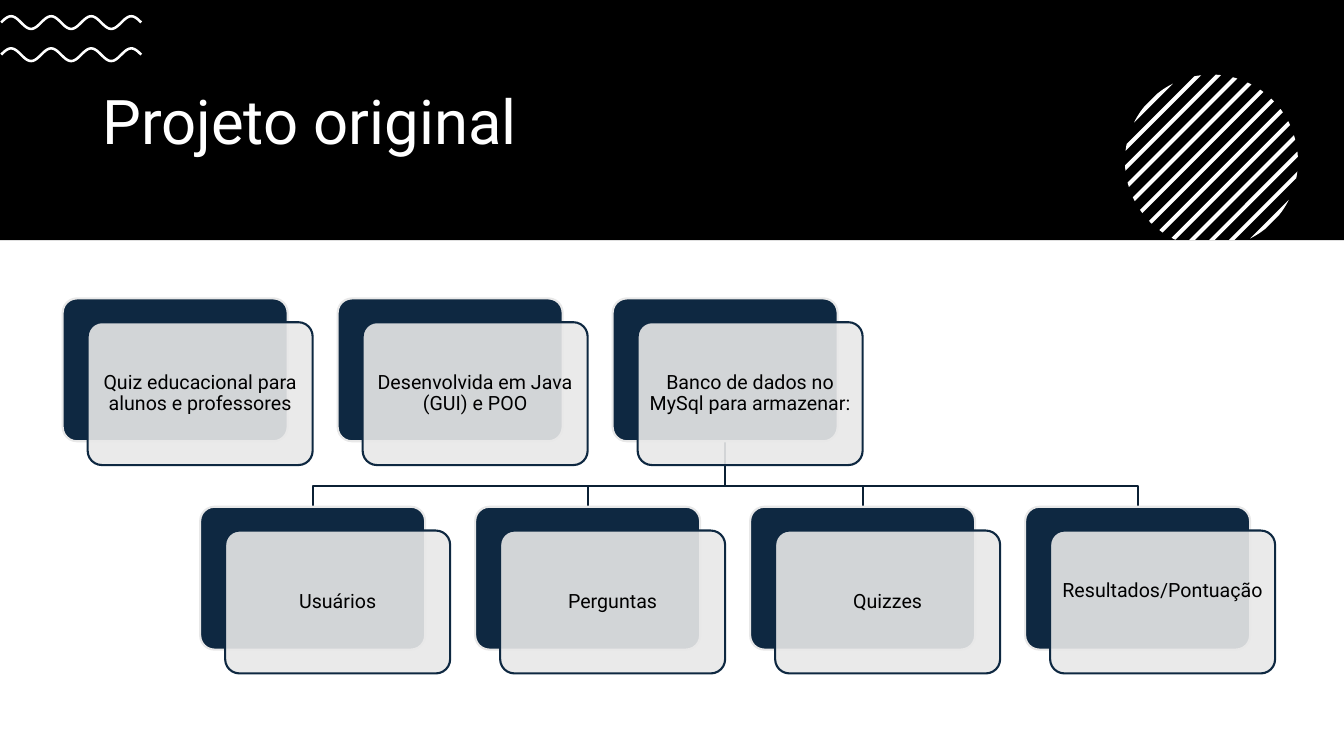
from math import cos, pi, sqrt

from lxml import etree
from pptx import Presentation
from pptx.dml.color import RGBColor
from pptx.enum.shapes import MSO_SHAPE
from pptx.enum.text import MSO_ANCHOR, PP_ALIGN
from pptx.oxml.ns import qn
from pptx.util import Cm, Pt

RECTANGLE, ROUNDED = MSO_SHAPE.RECTANGLE, MSO_SHAPE.ROUNDED_RECTANGLE
MIDDLE = MSO_ANCHOR.MIDDLE
LEFT, CENTER = PP_ALIGN.LEFT, PP_ALIGN.CENTER

THEME = {
    "black": RGBColor.from_string("000000"),
    "white": RGBColor.from_string("FFFFFF"),
    "navy": RGBColor.from_string("0E2841"),
    "link": RGBColor.from_string("0B2034"),
    "pale": RGBColor.from_string("E8E8E8"),
    "font": "Roboto",
    "title": Pt(44),
    "label": Pt(14),
    "outline": Pt(1.5),
    "wave": Pt(1.8),
}


def paint(shape, fill=None, line=None, width=THEME["outline"]):
    shape.shadow.inherit = False
    if fill:
        shape.fill.solid()
        shape.fill.fore_color.rgb = THEME[fill]
    else:
        shape.fill.background()
    if line:
        shape.line.color.rgb = THEME[line]
        shape.line.width = width
    else:
        shape.line.fill.background()


def write(shape, text, size, color, align, margins):
    frame = shape.text_frame
    settings = {"word_wrap": True, "vertical_anchor": MIDDLE, **margins}
    for name, value in settings.items():
        setattr(frame, name, value)
    para = frame.paragraphs[0]
    para.alignment = align
    para.line_spacing = 0.9
    span = para.add_run()
    span.text = text
    for name, value in {"name": THEME["font"], "size": THEME[size]}.items():
        setattr(span.font, name, value)
    span.font.color.rgb = THEME[color]


deck = Presentation()
deck.slide_width, deck.slide_height = Cm(33.87), Cm(19.05)
page = deck.slides.add_slide(deck.slide_layouts[6])

BAND_HEIGHT = 6.05
band = page.shapes.add_shape(RECTANGLE, 0, 0, deck.slide_width, Cm(BAND_HEIGHT))
paint(band, fill="black")
title = page.shapes.add_textbox(Cm(2.33), Cm(1.57), Cm(29.21), Cm(3.12))
write(title, "Projeto original", "title", "white", LEFT, {})

outlines = []

WAVE_START, WAVE_END, WAVE_STEPS = 0.03, 3.56, 84
CREST, PERIOD, AMPLITUDE = 0.28, 1.01, 0.16
for middle in (1.38, 0.57):
    points = []
    for step in range(WAVE_STEPS + 1):
        x = WAVE_START + (WAVE_END - WAVE_START) * step / WAVE_STEPS
        points.append((x, middle - AMPLITUDE * cos(2 * pi * (x - CREST) / PERIOD)))
    outlines.append((points, False, {"line": "white", "width": THEME["wave"]}))

CENTER_X, CENTER_Y, RADIUS = 30.53, 4.06, 2.18
STRIPE_PITCH, STRIPE_WIDTH, ARC_STEPS = 0.353, 0.1, 6
for stripe in range(-6, 7):
    upper, lower = [], []
    for step in range(ARC_STEPS + 1):
        offset = stripe * STRIPE_PITCH + STRIPE_WIDTH * (step / ARC_STEPS - 0.5)
        reach = sqrt(RADIUS ** 2 - offset ** 2)
        near, far = (offset - reach) / sqrt(2), (offset + reach) / sqrt(2)
        upper.append((CENTER_X + far, CENTER_Y + near))
        excess = max(0, CENTER_Y + far - BAND_HEIGHT)
        lower.append((CENTER_X + near + excess, CENTER_Y + far - excess))
    outlines.append((upper + lower[::-1], True, {"fill": "white"}))

CARD_WIDTH, CARD_HEIGHT, CARD_PITCH = 5.67, 3.6, 6.93
SHIFT_X, SHIFT_Y = 0.63, 0.6
TOP_LEFT, TOP_ROW = 1.58, 7.52
BOTTOM_LEFT, BOTTOM_ROW = TOP_LEFT + CARD_PITCH / 2, 12.77
BUS = 12.25
rows = [
    (TOP_LEFT, TOP_ROW, [
        "Quiz educacional para alunos e professores",
        "Desenvolvida em Java (GUI) e POO",
        "Banco de dados no MySql para armazenar:",
    ]),
    (BOTTOM_LEFT, BOTTOM_ROW, [
        "Usuários", "Perguntas", "Quizzes", "Resultados/Pontuação",
    ]),
]

parent_x = TOP_LEFT + 2 * CARD_PITCH + CARD_WIDTH / 2 + SHIFT_X / 2 + 0.23
parent_x = TOP_LEFT + 2 * CARD_PITCH + CARD_WIDTH / 2
for column in reversed(range(4)):
    child_x = BOTTOM_LEFT + column * CARD_PITCH + CARD_WIDTH / 2
    points = [(parent_x, TOP_ROW + CARD_HEIGHT), (parent_x, BUS),
              (child_x, BUS), (child_x, BOTTOM_ROW)]
    outlines.append((points, False, {"line": "link"}))

for points, closed, look in outlines:
    corners = [(Cm(x), Cm(y)) for x, y in points]
    builder = page.shapes.build_freeform(*corners[0])
    builder.add_line_segments(corners[1:], close=closed)
    paint(builder.convert_to_shape(), **look)

MARGIN, RAISED_MARGIN = Cm(0.15), Cm(0.68)
for left, top, labels in rows:
    for column, label in enumerate(labels):
        x = left + column * CARD_PITCH
        for shift_x, shift_y, fill, line in (
            (0, 0, "navy", "pale"), (SHIFT_X, SHIFT_Y, "pale", "navy"),
        ):
            card = page.shapes.add_shape(
                ROUNDED, Cm(x + shift_x), Cm(top + shift_y),
                Cm(CARD_WIDTH), Cm(CARD_HEIGHT))
            card.adjustments[0] = 0.1
            paint(card, fill, line)
        tint = card.fill._xPr.find(qn("a:solidFill"))[0]
        etree.SubElement(tint, qn("a:alpha"), val="90000")
        raised = label == "Resultados/Pontuação"
        write(card, label, "label", "black", CENTER, {
            "margin_left": MARGIN, "margin_right": MARGIN, "margin_top": MARGIN,
            "margin_bottom": RAISED_MARGIN if raised else MARGIN,
        })

deck.save("out.pptx")
